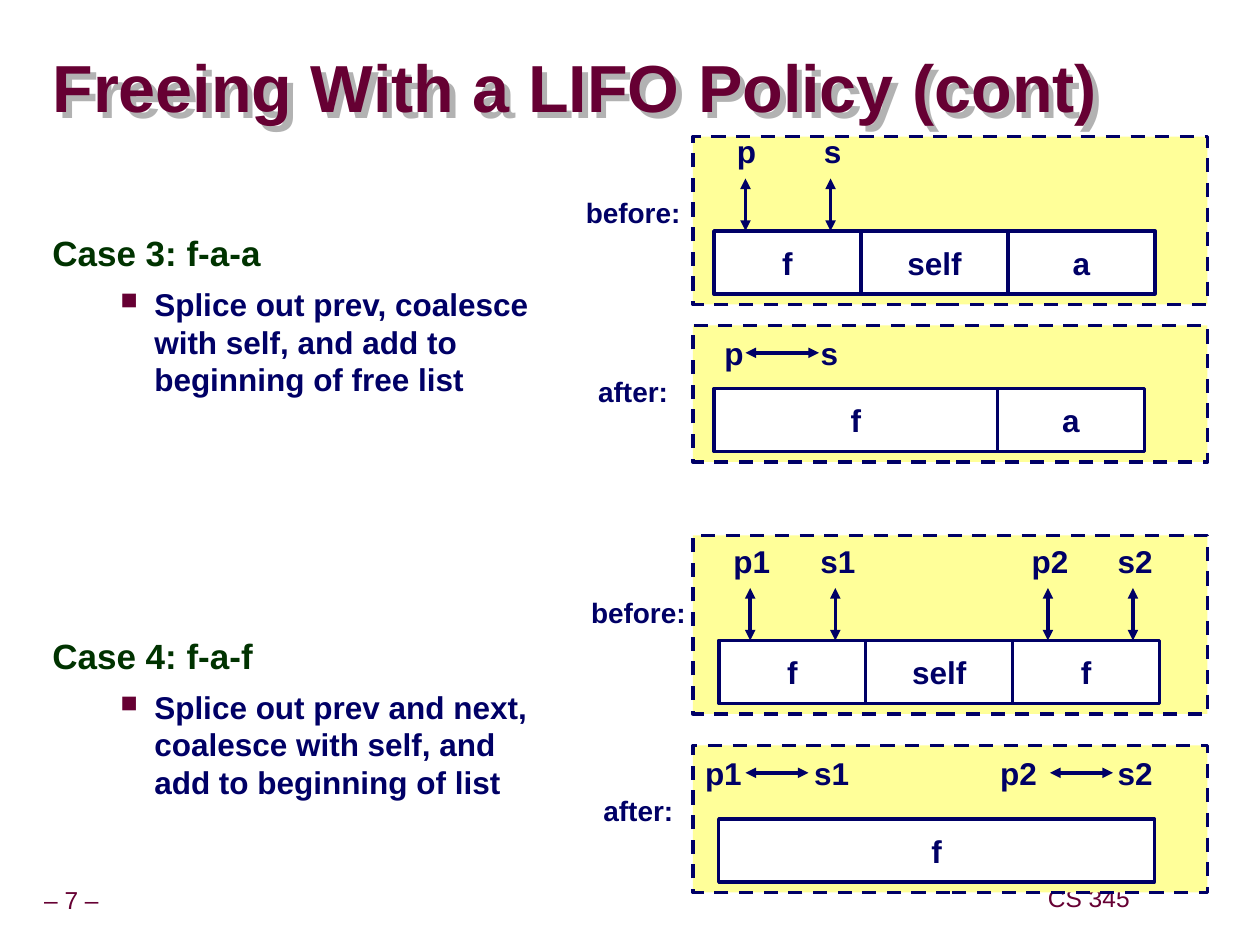
from lxml import etree
from pptx import Presentation
from pptx.dml.color import RGBColor
from pptx.enum.dml import MSO_LINE_DASH_STYLE as Dash
from pptx.enum.shapes import MSO_CONNECTOR as Connector, MSO_SHAPE as Shape
from pptx.enum.text import MSO_ANCHOR as Anchor, PP_ALIGN as Align
from pptx.oxml.ns import qn
from pptx.util import Inches, Pt

NAVY, MAROON, GREEN = "000066", "660033", "003300"
PALE_YELLOW, WHITE, GREY = "FFFF99", "FFFFFF", "B2B2B2"
color = RGBColor.from_string

deck = Presentation()
deck.slide_width, deck.slide_height = Inches(10), Inches(7.5)
column, row = deck.slide_width / 120, deck.slide_height / 90
slide = deck.slides.add_slide(deck.slide_layouts[5])


def grid(left, top, width, height):
    return [round(n * unit) for n, unit in
            zip((left, top, width, height), (column, row, column, row))]


def write(frame, text, size, hue, bold=True):
    frame.word_wrap = False
    frame.vertical_anchor = Anchor.MIDDLE
    line = frame.paragraphs[0]
    line.text = text
    line.alignment = Align.CENTER
    line.font.name, line.font.size, line.font.bold = "Arial", Pt(size), bold
    line.font.color.rgb = color(hue)


for text, center, middle, width in [("– 7 –", 6.8, 85.9, 15.7), ("CS 345", 103.7, 85.7, 9.4)]:
    footer = slide.shapes.add_textbox(*grid(center - width / 2, middle - 1.85, width, 3.7))
    write(footer.text_frame, text, 14, MAROON, bold=False)
    footer.text_frame.margin_left = footer.text_frame.margin_right = Inches(0.05)
    footer.text_frame.paragraphs[0].line_spacing = 0.9

title = slide.shapes.title
title.left, title.top, title.width, title.height = grid(5, 5, 102.4, 7.5)
heading = title.text_frame
write(heading, "Freeing With a LIFO Policy (cont)", 38, MAROON)
heading.word_wrap = True
heading.margin_left = heading.margin_right = heading.margin_top = heading.margin_bottom = 0
heading.paragraphs[0].alignment = Align.LEFT
heading.paragraphs[0].line_spacing = 0.87
effects = etree.SubElement(title._element.spPr, qn("a:effectLst"))
shadow = etree.SubElement(effects, qn("a:outerShdw"), dist="57150", dir="2700000", algn="ctr", rotWithShape="0")
etree.SubElement(shadow, qn("a:srgbClr"), val=GREY)

cases = slide.shapes.add_textbox(*grid(3.8, 21.8, 50.5, 56.2)).text_frame
cases.word_wrap = True
for index, (case, action) in enumerate([
    ("Case 3: f-a-a", "Splice out prev, coalesce with self, and add to beginning of free list"),
    ("Case 4: f-a-f", "Splice out prev and next, coalesce with self, and add to beginning of list"),
]):
    name = cases.add_paragraph() if index else cases.paragraphs[0]
    if index:
        name.space_before = Pt(137)
    name.text, name.line_spacing = case, 0.95
    step = cases.add_paragraph()
    step.text, step.line_spacing, step.space_before = action, 1.0, Pt(5.6)
    props = step._p.get_or_add_pPr()
    props.set("marL", str(Inches(0.81)))
    props.set("indent", str(Inches(-0.27)))
    bullet_color = etree.SubElement(props, qn("a:buClr"))
    etree.SubElement(bullet_color, qn("a:srgbClr"), val=MAROON)
    etree.SubElement(props, qn("a:buSzPct"), val="75000")
    etree.SubElement(props, qn("a:buChar"), char="■")
    for line, size, hue in [(name, 20, GREEN), (step, 18, NAVY)]:
        line.font.name, line.font.size, line.font.bold = "Arial", Pt(size), True
        line.font.color.rgb = color(hue)

stages = [
    dict(panel=(13, 16), caption=("before:", 60.3, 20.2, 11.6),
         pointers=[("p", 71.1), ("s", 79.3)], pointer_row=14.4,
         blocks=[("f", 14), ("self", 14), ("a", 14)], blocks_at=(68, 22),
         arrows=[(x, 17, x, 22) for x in (71, 79.1)]),
    dict(panel=(31, 13), caption=("after:", 60.3, 37.3, 9.4),
         pointers=[("p", 69.9), ("s", 79)], pointer_row=33.6,
         blocks=[("f", 27), ("a", 14)], blocks_at=(68, 37),
         arrows=[(71, 33.6, 78, 33.6)]),
    dict(panel=(51, 17), caption=("before:", 60.8, 58.3, 11.6),
         pointers=[("p1", 71.6), ("s1", 79.8), ("p2", 100), ("s2", 108.1)], pointer_row=53.4,
         blocks=[("f", 14), ("self", 14), ("f", 14)], blocks_at=(68.45, 61),
         arrows=[(x, 56, x, 61) for x in (71.45, 79.55, 99.8, 107.9)]),
    dict(panel=(71, 14), caption=("after:", 60.8, 77.2, 9.4),
         pointers=[("p1", 68.9), ("s1", 79.2), ("p2", 97), ("s2", 108.1)], pointer_row=73.6,
         blocks=[("f", 41.5)], blocks_at=(68.45, 78),
         arrows=[(x, 73.6, x + 6, 73.6) for x in (71, 100)]),
]

for stage in stages:
    top, height = stage["panel"]
    left, block_top = stage["blocks_at"]
    boxes = [("", 66, top, 49, height, PALE_YELLOW)]
    for text, width in stage["blocks"]:
        boxes.append((text, left, block_top, width, 6, WHITE))
        left += width
    for text, *place, fill in boxes:
        box = slide.shapes.add_shape(Shape.RECTANGLE, *grid(*place))
        box.shadow.inherit = False
        box.fill.solid()
        box.fill.fore_color.rgb = color(fill)
        box.line.color.rgb, box.line.width = color(NAVY), Pt(2)
        if text:
            write(box.text_frame, text, 18, NAVY)
        else:
            box.line.dash_style = Dash.DASH

    labels = [(*stage["caption"], 4.4, 16)]
    labels += [(text, center, stage["pointer_row"], 2.5 + 1.7 * len(text), 4.8, 18)
               for text, center in stage["pointers"]]
    for text, center, middle, width, height, size in labels:
        label = slide.shapes.add_textbox(*grid(center - width / 2, middle - height / 2, width, height))
        write(label.text_frame, text, size, NAVY)

    for ends in stage["arrows"]:
        arrow = slide.shapes.add_connector(Connector.STRAIGHT, *grid(*ends))
        arrow.line.color.rgb, arrow.line.width = color(NAVY), Pt(2)
        for end in ("a:headEnd", "a:tailEnd"):
            etree.SubElement(arrow.line._get_or_add_ln(), qn(end), type="triangle")
        etree.SubElement(arrow._element.spPr, qn("a:effectLst"))

deck.save("out.pptx")
